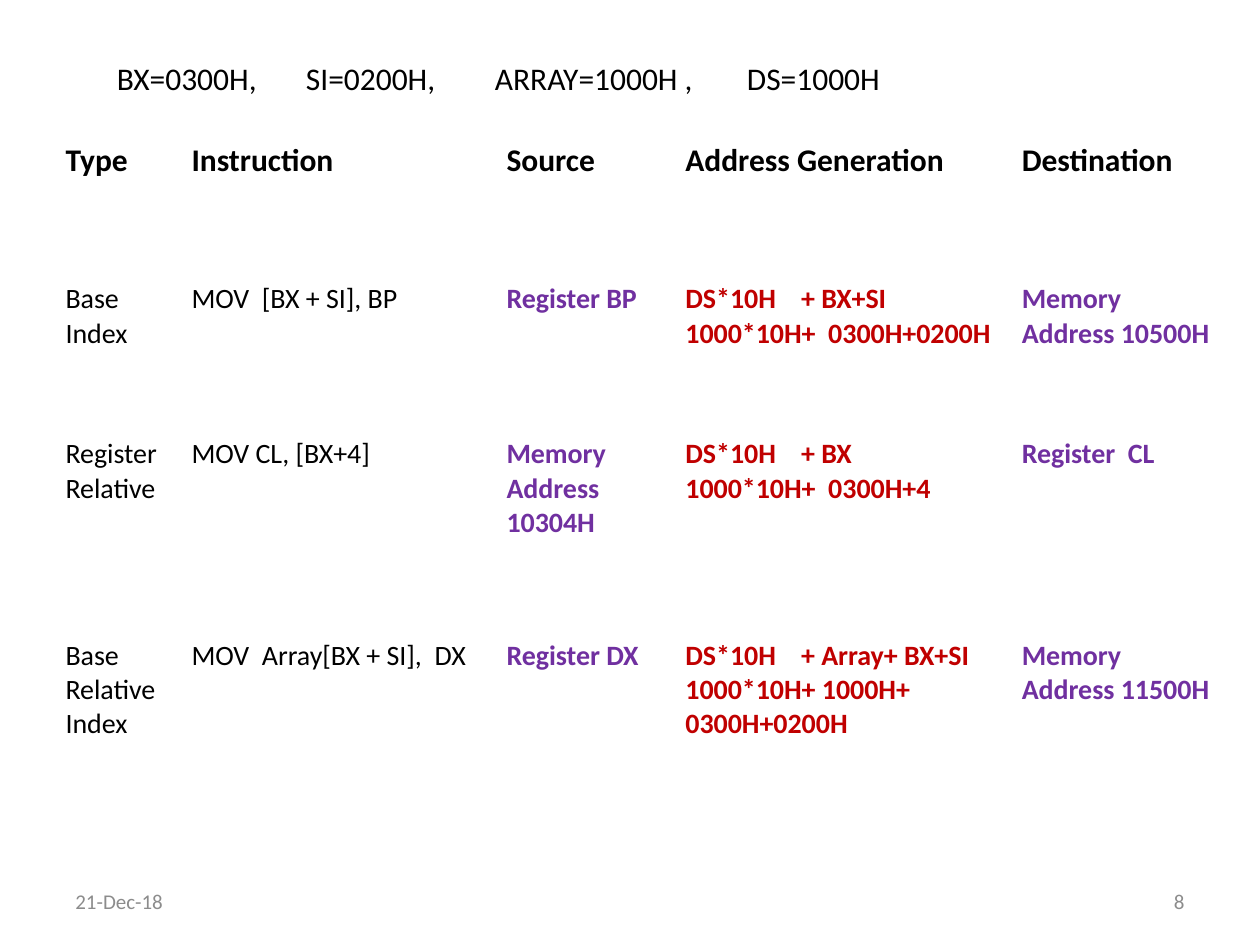
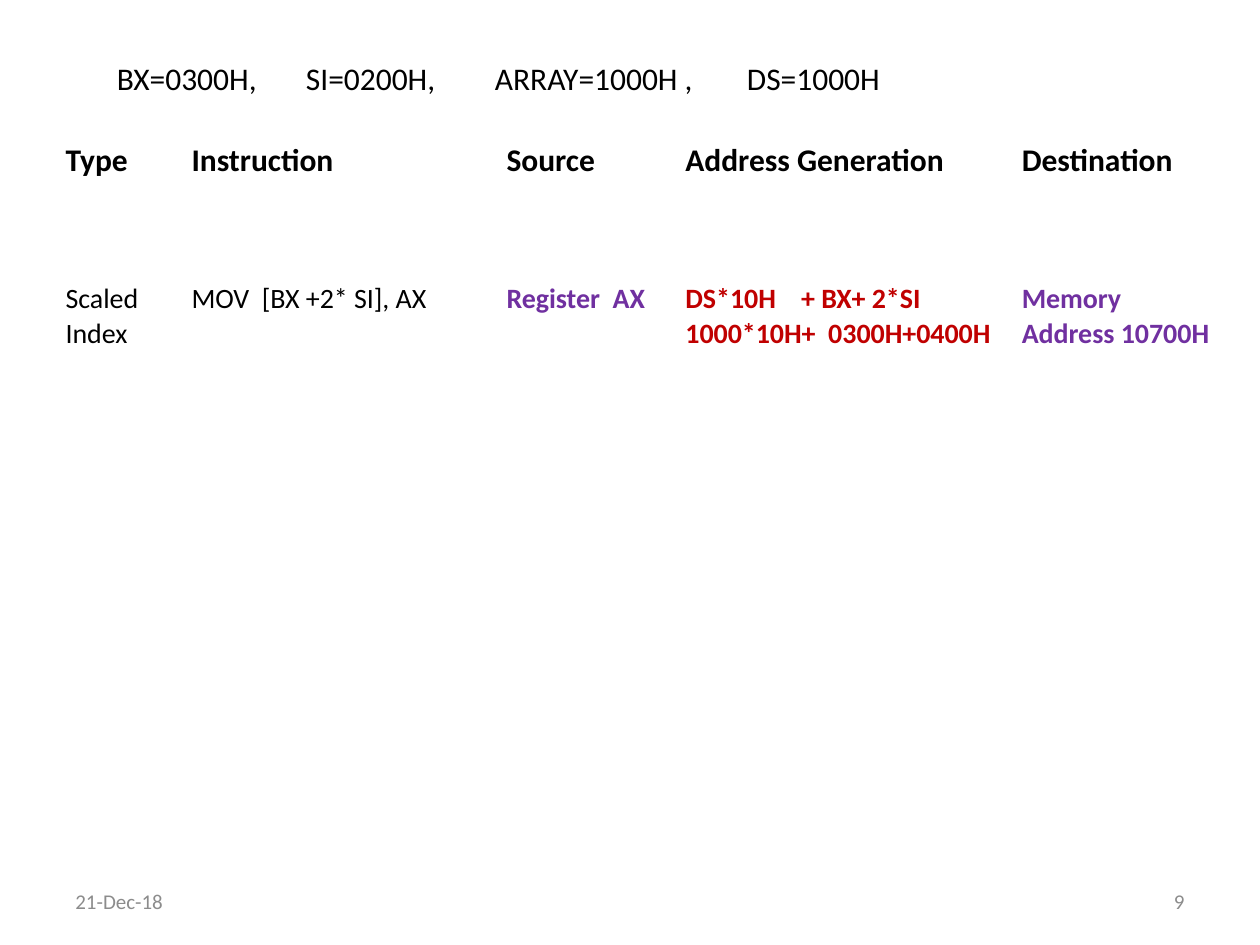
from pptx import Presentation
from pptx.dml.color import RGBColor
from pptx.enum.text import MSO_ANCHOR, PP_ALIGN
from pptx.util import Inches, Pt

BLACK = RGBColor(0, 0, 0)
GRAY = RGBColor(0x8C, 0x8C, 0x8C)
PURPLE = RGBColor(0x70, 0x30, 0xA0)
RED = RGBColor(0xC0, 0, 0)

FONT = "Calibri"
REGISTERS = "BX=0300H, \tSI=0200H, \tARRAY=1000H , \tDS=1000H"
DATE = "21-Dec-18"
HEADINGS = ("Type", "Instruction", "Source", "Address Generation", "Destination")
COLUMN_WIDTHS = (1, 2.5, 1.42, 2.67, 1.75)
COLUMN_COLORS = (BLACK, BLACK, PURPLE, RED, PURPLE)
BLANK_ROW = ("",) * len(HEADINGS)

COMBINED_MODES = [
    (0.41, HEADINGS),
    (0.71, BLANK_ROW),
    (0.82, ("Base Index", "MOV  [BX + SI], BP", "Register BP",
            "DS*10H    + BX+SI\n1000*10H+  0300H+0200H", "Memory Address 10500H")),
    (0.41, BLANK_ROW),
    (0.91, ("Register Relative", "MOV CL, [BX+4]", "Memory Address 10304H",
            "DS*10H    + BX\n1000*10H+  0300H+4", "Register  CL")),
    (0.69, BLANK_ROW),
    (0.91, ("Base Relative Index", "MOV  Array[BX + SI],  DX", "Register DX",
            "DS*10H    + Array+ BX+SI\n1000*10H+ 1000H+ 0300H+0200H",
            "Memory Address 11500H")),
    (0.62, BLANK_ROW),
]
SCALED_MODE = [
    (0.41, HEADINGS),
    (0.71, BLANK_ROW),
    (0.82, ("Scaled Index", "MOV  [BX +2* SI], AX", "Register  AX",
            "DS*10H    + BX+ 2*SI\n1000*10H+  0300H+0400H", "Memory Address 10700H")),
]


def write_text(text_frame, text, size, color, bold=False, align=PP_ALIGN.LEFT):
    text_frame.text = text
    for paragraph in text_frame.paragraphs:
        paragraph.alignment = align
        for span in paragraph.runs:
            span.font.name = FONT
            span.font.size = Pt(size)
            span.font.bold = bold
            span.font.color.rgb = color


def add_text(page, left, top, width, text, size, color,
             align=PP_ALIGN.LEFT, anchor=MSO_ANCHOR.TOP):
    box = page.shapes.add_textbox(Inches(left), Inches(top), Inches(width), Inches(0.4))
    box.text_frame.word_wrap = True
    box.text_frame.vertical_anchor = anchor
    write_text(box.text_frame, text, size, color, align=align)


def add_footer(page, number):
    add_text(page, 0.5, 6.95, 2.33, DATE, 12, GRAY, anchor=MSO_ANCHOR.MIDDLE)
    add_text(page, 7.17, 6.95, 2.33, str(number), 12, GRAY,
             PP_ALIGN.RIGHT, MSO_ANCHOR.MIDDLE)


def add_mode_table(page, rows):
    height = sum(row_height for row_height, _ in rows)
    table = page.shapes.add_table(
        len(rows), len(HEADINGS), Inches(0.42), Inches(1.07),
        Inches(sum(COLUMN_WIDTHS)), Inches(height)).table
    table.first_row = False
    table.horz_banding = False
    for column, width in zip(table.columns, COLUMN_WIDTHS):
        column.width = Inches(width)
    for row, (row_height, texts) in zip(table.rows, rows):
        row.height = Inches(row_height)
        heading = texts is HEADINGS
        for cell, text, color in zip(row.cells, texts, COLUMN_COLORS):
            cell.fill.background()
            if heading:
                write_text(cell.text_frame, text, 18, BLACK, bold=True)
            else:
                write_text(cell.text_frame, text, 16, color, bold=color != BLACK)


def add_page(deck, number, rows):
    page = deck.slides.add_slide(deck.slide_layouts[6])
    add_footer(page, number)
    add_mode_table(page, rows)
    add_text(page, 0.83, 0.42, 7.33, REGISTERS, 18, BLACK)


def main():
    deck = Presentation()
    deck.slide_width = Inches(10)
    deck.slide_height = Inches(7.5)
    for number, rows in enumerate((COMBINED_MODES, SCALED_MODE), start=8):
        add_page(deck, number, rows)
    deck.save("out.pptx")


main()
